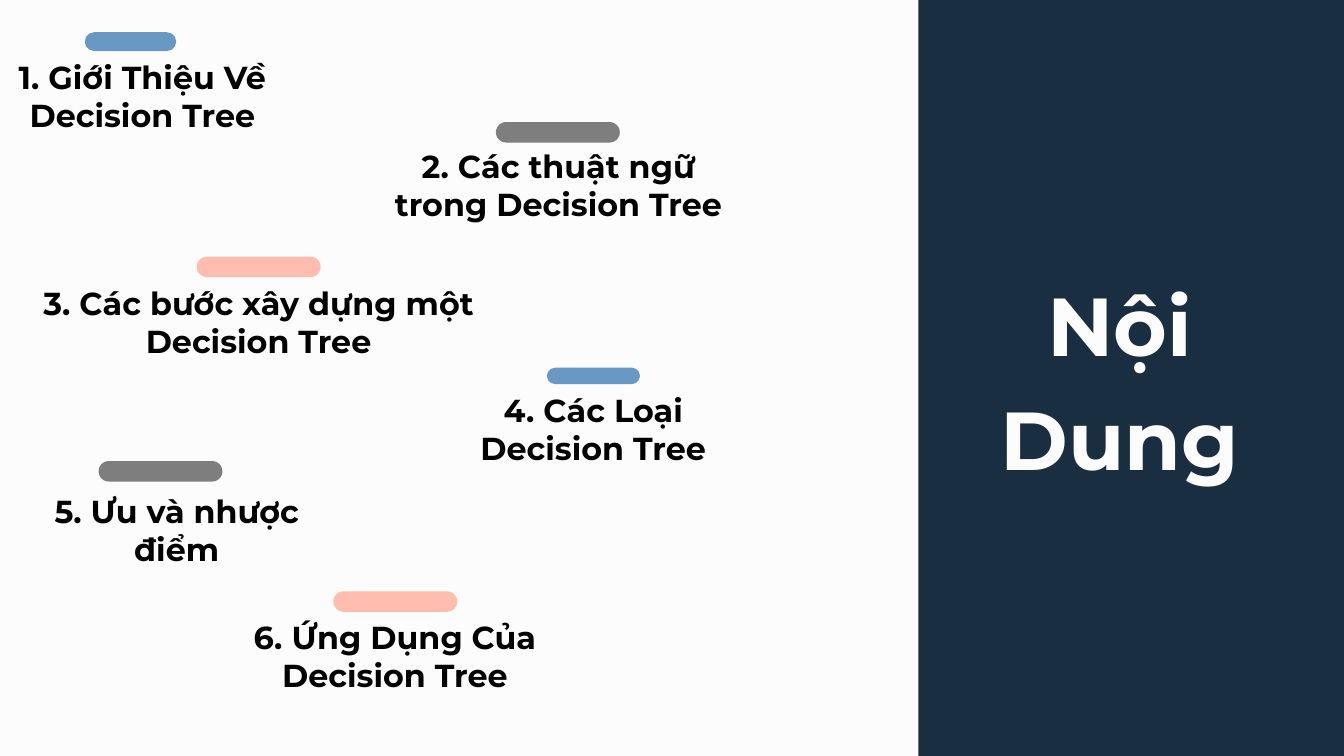
from pptx import Presentation
from pptx.dml.color import RGBColor
from pptx.enum import shapes, text
from pptx.util import Pt

WHITE = RGBColor(0xFC, 0xFC, 0xFC)
NAVY = RGBColor(0x19, 0x2E, 0x40)
BLACK = RGBColor(0, 0, 0)
BLUE = RGBColor(0x68, 0x99, 0xC4)
GRAY = RGBColor(0x7E, 0x7E, 0x7E)
PINK = RGBColor(0xFF, 0xBD, 0xAF)

deck = Presentation()
deck.slide_width, deck.slide_height = Pt(720), Pt(405)
slide = deck.slides.add_slide(deck.slide_layouts[6])
slide.background.fill.solid()
slide.background.fill.fore_color.rgb = WHITE


def add_bar(kind, box, color):
    bar = slide.shapes.add_shape(kind, *map(Pt, box))
    bar.shadow.inherit = False
    bar.fill.solid()
    bar.fill.fore_color.rgb = color
    bar.line.fill.background()
    return bar


def add_text(words, box, size, color, space=None):
    frame = slide.shapes.add_textbox(*map(Pt, box)).text_frame
    frame.word_wrap = True
    frame.text = words
    for para in frame.paragraphs:
        para.alignment = text.PP_ALIGN.CENTER
        para.line_spacing = space
        font = para.font
        font.name, font.size, font.bold = "Montserrat", Pt(size), True
        font.color.rgb = color
    return frame


# Side panel with the title
add_bar(shapes.MSO_SHAPE.RECTANGLE, (492, 0, 228, 405), NAVY)
title = add_text("Nội\vDung", (494, -5, 226, 410), 44, WHITE, 1.15)
title.vertical_anchor = text.MSO_ANCHOR.MIDDLE
title.margin_left = title.margin_top = title.margin_bottom = Pt(7.2)
title.margin_right = Pt(21)  # sets the title left of the panel's middle

# Topics: words, text left, top, width; bar left, top, width, height, colour
topics = [
    ("1. Giới Thiệu Về\nDecision Tree", (0, 27.4, 152.6),
     (45.4, 17.3, 49, 10.1), BLUE),
    ("2. Các thuật ngữ trong Decision Tree", (196.6, 74.9, 205.2),
     (265.7, 65.4, 66.4, 11), GRAY),
    ("3. Các bước xây dựng một\nDecision Tree", (5, 148.3, 267.1),
     (105.4, 137.5, 66.4, 11), PINK),
    ("4. Các Loại\nDecision Tree", (221, 205.9, 193.7),
     (293, 197, 49.9, 8.8), BLUE),
    ("5. Ưu và nhược điểm", (2.9, 259.9, 183.6),
     (52.8, 247, 66.4, 11), GRAY),
    ("6. Ứng Dụng Của\nDecision Tree", (109.4, 327.6, 204.5),
     (178.6, 316.8, 66.4, 11), PINK),
]
for words, place, box, color in topics:
    add_text(words, (*place, 48.2), 17, BLACK)
    bar = add_bar(shapes.MSO_SHAPE.ROUNDED_RECTANGLE, box, color)
    bar.adjustments[0] = 0.5

deck.save("out.pptx")
